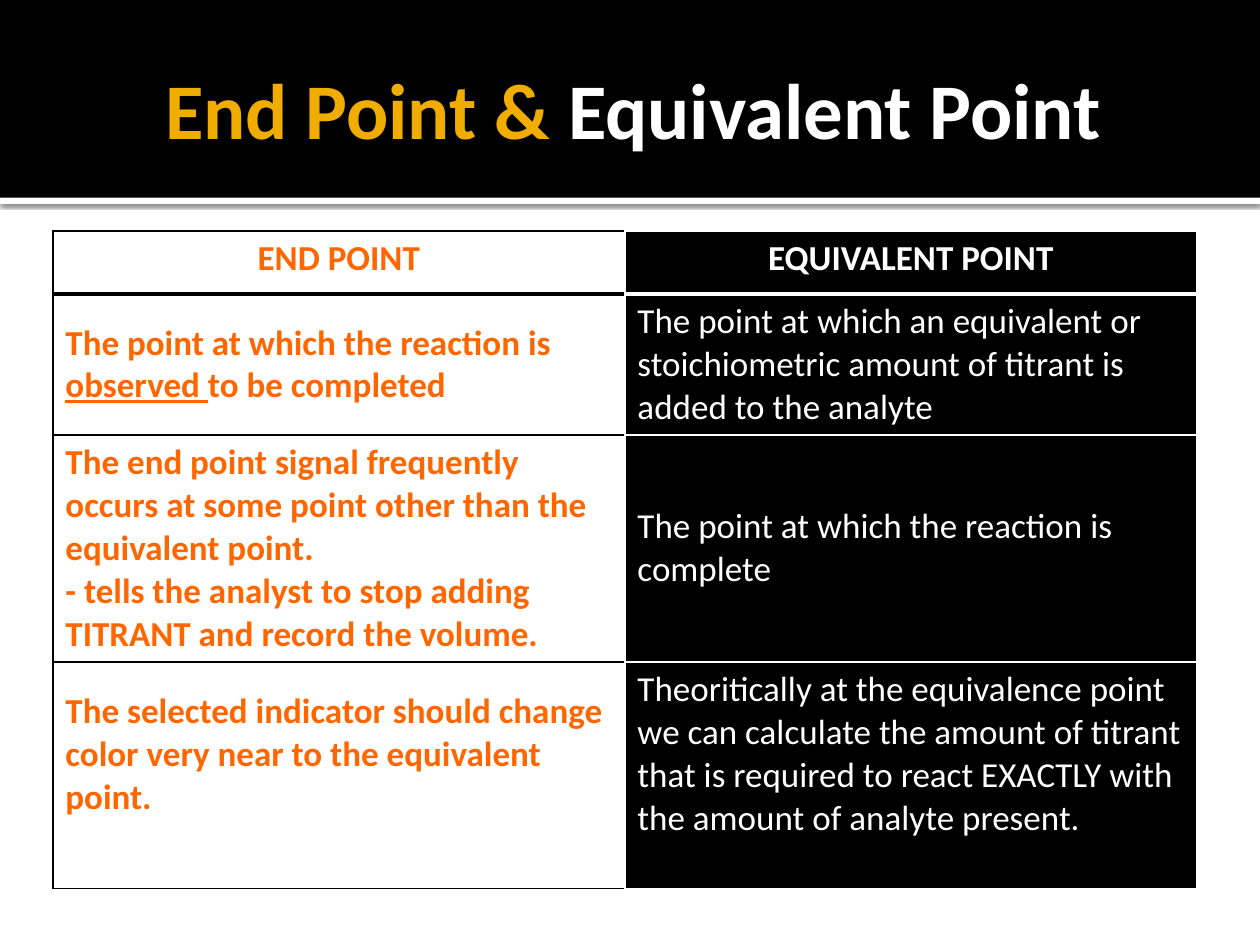
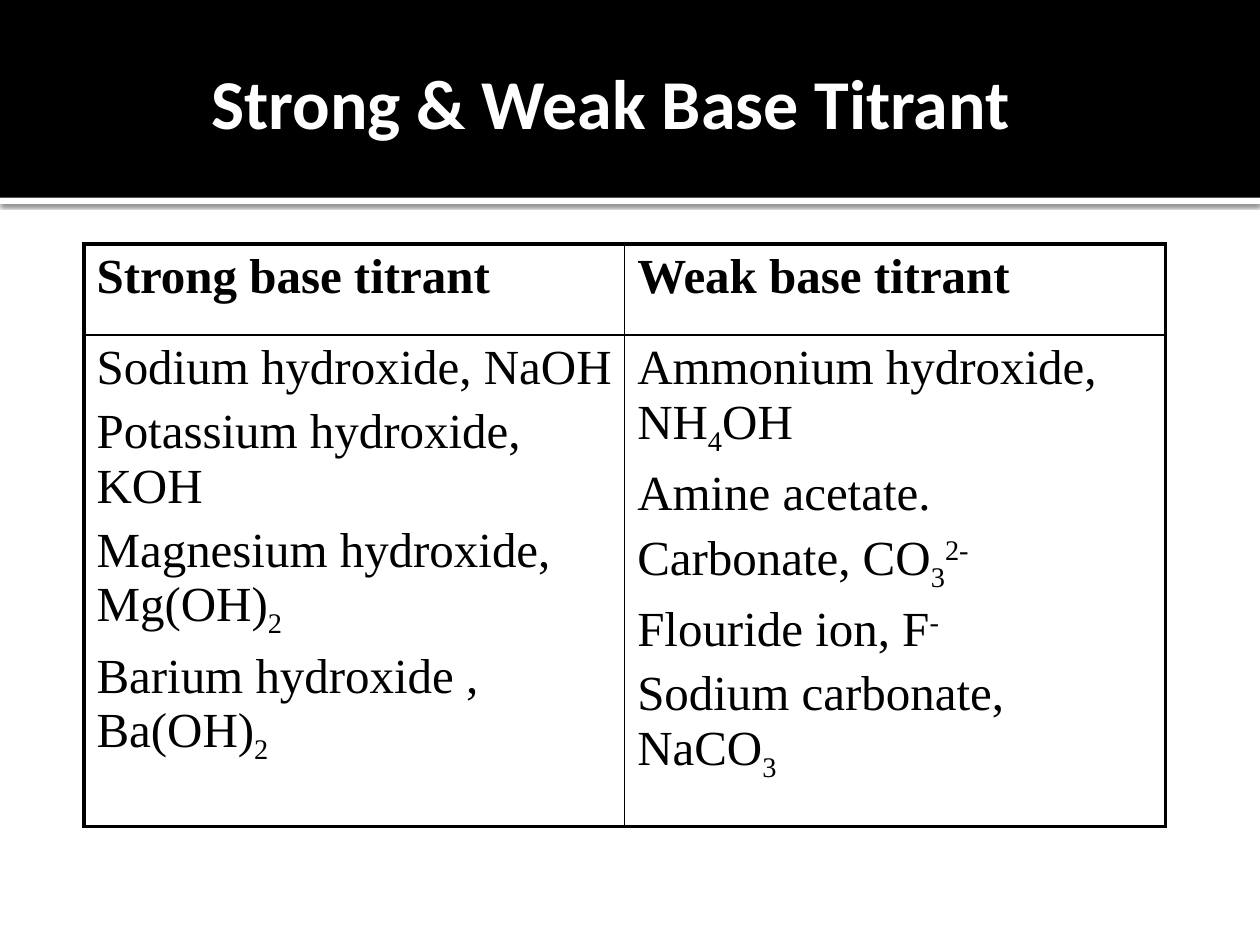
import pptx
import pptx.util
import pptx.dml.color
import pptx.enum.shapes
import pptx.enum.text
import pptx.oxml.ns
from lxml import etree

Pt = pptx.util.Pt
ALIGN = pptx.enum.text.PP_ALIGN
ANCHOR = pptx.enum.text.MSO_ANCHOR
COLORS = {"black": "000000", "white": "FFFFFF", "gold": "F0AD00", "orange": "FF6600"}
PAGE_WIDTH, PAGE_HEIGHT = 720, 540
BAND_HEIGHT, STRIP_HEIGHT = 113, 3.6

# Content: a paragraph is a string or a list of (text, format) runs
SUB, SUPER = {"baseline": -25000}, {"baseline": 30000}
POINT_TITLE = [("End Point & ", {"color": "gold"}), ("Equivalent Point", {})]
POINT_ROWS = [
    (["END POINT"], ["EQUIVALENT POINT"]),
    ([[("The point at which the reaction is ", {}), ("observed ", {"underline": True}),
       ("to be completed", {})]],
     ["The point at which an equivalent or stoichiometric amount of titrant is added "
      "to the analyte"]),
    (["The end point signal frequently occurs at some point other than the equivalent point.",
      "- tells the analyst to stop adding TITRANT and record the volume."],
     ["The point at which the reaction is complete"]),
    (["The selected indicator should change color very near to the equivalent point."],
     ["Theoritically at the equivalence point we can calculate the amount of titrant that "
      "is required to react EXACTLY with the amount of analyte present."]),
]
POINT_HEIGHTS = [36, 80.6, 129.6, 129.6]
POINT_COLUMNS = [("orange", "white", "black"), ("white", "black", "white")]  # text, fill, rule

BASE_TITLE = "Strong & Weak Base Titrant"
BASE_ROWS = [
    (["Strong base titrant"], ["Weak base titrant"]),
    (["Sodium hydroxide, NaOH",
      "Potassium hydroxide, KOH",
      [("Magnesium hydroxide, Mg(OH)", {}), ("2", SUB)],
      [("Barium hydroxide , Ba(OH)", {}), ("2", SUB)]],
     [[("Ammonium hydroxide, NH", {}), ("4", SUB), ("OH", {})],
      "Amine acetate.",
      [("Carbonate, CO", {}), ("3", SUB), ("2-", SUPER)],
      [("Flouride ion, F", {}), ("-", SUPER)],
      [("Sodium carbonate, NaCO", {}), ("3", SUB)]]),
]
BASE_HEIGHTS = [52, 281]


def rgb(name):
    return pptx.dml.color.RGBColor.from_string(COLORS[name])


def put_text(frame, paragraphs, size=20, font="Calibri", color="white", bold=False,
             align=ALIGN.LEFT, gap=0):
    for index, runs in enumerate(paragraphs):
        para = frame.add_paragraph() if index else frame.paragraphs[0]
        para.alignment = align
        para.space_before = Pt(gap if index else 0)
        for text, style in ([(runs, {})] if isinstance(runs, str) else runs):
            span = para.add_run()
            span.text = text
            span.font.size, span.font.name, span.font.bold = Pt(size), font, bold
            span.font.color.rgb = rgb(style.get("color", color))
            if style.get("underline"):
                span.font.underline = True
            if "baseline" in style:
                span.font._element.set("baseline", str(style["baseline"]))


def add_bar(page, top, height, color):
    bar = page.shapes.add_shape(pptx.enum.shapes.MSO_SHAPE.RECTANGLE,
                                0, Pt(top), Pt(PAGE_WIDTH), Pt(height))
    bar.shadow.inherit = False
    bar.fill.solid()
    bar.fill.fore_color.rgb = rgb(color)
    bar.line.fill.background()
    return bar


def add_page(deck):
    page = deck.slides.add_slide(deck.slide_layouts[6])
    # White strip with a soft shadow under the black title band
    strip = add_bar(page, BAND_HEIGHT, STRIP_HEIGHT, "white")
    effects = strip._element.spPr.find(pptx.oxml.ns.qn("a:effectLst"))
    shadow = etree.SubElement(effects, pptx.oxml.ns.qn("a:outerShdw"), blurRad=str(Pt(2.5)),
                              dist=str(Pt(0.8)), dir="5400000", rotWithShape="0")
    tint = etree.SubElement(shadow, pptx.oxml.ns.qn("a:srgbClr"), val=COLORS["black"])
    etree.SubElement(tint, pptx.oxml.ns.qn("a:alpha"), val="60000")
    add_bar(page, 0, BAND_HEIGHT, "black")
    return page


def add_title(page, place, title, size, align):
    box = page.shapes.add_textbox(*map(Pt, place))
    box.text_frame.word_wrap = True
    box.text_frame.vertical_anchor = ANCHOR.MIDDLE
    box.text_frame.margin_right = Pt(3.6)
    put_text(box.text_frame, [title], size=size, bold=True, align=align)


def add_grid(page, left, top, column_width, heights):
    columns = 2
    frame = page.shapes.add_table(len(heights), columns, Pt(left), Pt(top),
                                  Pt(column_width * columns), Pt(sum(heights)))
    grid = frame.table
    grid.first_row = grid.horz_banding = False
    for column in grid.columns:
        column.width = Pt(column_width)
    for row, height in zip(grid.rows, heights):
        row.height = Pt(height)
    return grid


def set_borders(cell, **sides):
    """Each side (L, R, T, B) is a (color, width) pair."""
    properties = cell._tc.get_or_add_tcPr()
    for side in "LRTB":
        color, width = sides[side]
        line = etree.SubElement(properties, pptx.oxml.ns.qn("a:ln" + side), w=str(Pt(width)))
        fill = etree.SubElement(line, pptx.oxml.ns.qn("a:solidFill"))
        etree.SubElement(fill, pptx.oxml.ns.qn("a:srgbClr"), val=COLORS[color])


def build_points(deck):
    page = add_page(deck)
    add_title(page, (36, 12.2, 648, 98.6), POINT_TITLE, 45, ALIGN.CENTER)
    grid = add_grid(page, 30.2, 132, 326.9, POINT_HEIGHTS)
    for r, row in enumerate(POINT_ROWS):
        for c, (ink, fill, rule) in enumerate(POINT_COLUMNS):
            cell = grid.cell(r, c)
            set_borders(cell, L=(rule, 1), R=("white", 1),
                        T=(rule, 3 if r == 1 else 1), B=(rule, 3 if r == 0 else 1))
            cell.fill.solid()
            cell.fill.fore_color.rgb = rgb(fill)
            cell.vertical_anchor = ANCHOR.MIDDLE if r else ANCHOR.TOP
            if r == len(POINT_ROWS) - 1:
                cell.margin_bottom = Pt(27.6)
            put_text(cell.text_frame, row[c], color=ink, bold=r == 0 or c == 0,
                     align=ALIGN.LEFT if r else ALIGN.CENTER)


def build_bases(deck):
    page = add_page(deck)
    grid = add_grid(page, 48, 139.4, 309, BASE_HEIGHTS)
    outer, inner = ("black", 2.25), ("black", 1)
    for r, row in enumerate(BASE_ROWS):
        for c, paragraphs in enumerate(row):
            cell = grid.cell(r, c)
            set_borders(cell, L=inner if c else outer, R=outer if c else inner,
                        T=inner if r else outer, B=outer if r else inner)
            cell.fill.background()
            put_text(cell.text_frame, paragraphs, size=28, font="Times New Roman",
                     color="black", bold=r == 0, gap=5.6)
    add_title(page, (113.8, 30.2, 493.2, 55.4), BASE_TITLE, 40, ALIGN.LEFT)


def main():
    deck = pptx.Presentation()
    deck.slide_width, deck.slide_height = Pt(PAGE_WIDTH), Pt(PAGE_HEIGHT)
    build_points(deck)
    build_bases(deck)
    deck.save("out.pptx")


if __name__ == "__main__":
    main()
